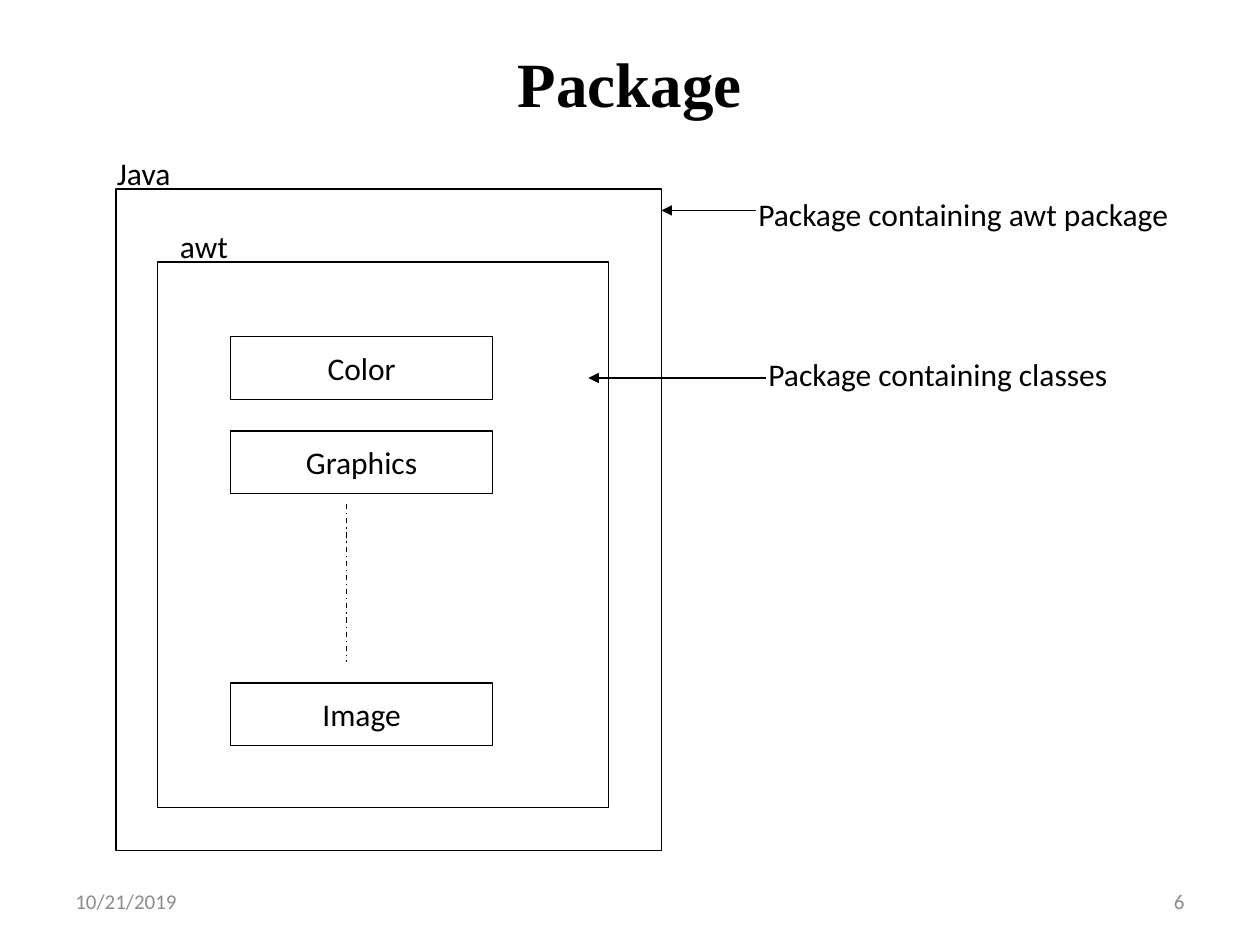
from dataclasses import dataclass

from lxml import etree
from pptx import Presentation
from pptx.dml.color import RGBColor
from pptx.enum.dml import MSO_LINE
from pptx.enum.shapes import MSO_CONNECTOR, MSO_SHAPE
from pptx.enum.text import MSO_ANCHOR, MSO_AUTO_SIZE, PP_ALIGN
from pptx.oxml.ns import qn
from pptx.util import Inches, Pt

RECT = MSO_SHAPE.RECTANGLE
STRAIGHT = MSO_CONNECTOR.STRAIGHT
DASH = MSO_LINE.DASH_DOT
LEFT, MID, RIGHT = PP_ALIGN.LEFT, PP_ALIGN.CENTER, PP_ALIGN.RIGHT
TOP, MIDDLE = MSO_ANCHOR.TOP, MSO_ANCHOR.MIDDLE
GROW, FIXED = MSO_AUTO_SIZE.SHAPE_TO_FIT_TEXT, MSO_AUTO_SIZE.NONE


@dataclass(frozen=True)
class Theme:
    ink: RGBColor = RGBColor(0, 0, 0)
    paper: RGBColor = RGBColor(255, 255, 255)
    gray: RGBColor = RGBColor(0x8C, 0x8C, 0x8C)
    head: str = "Times New Roman"
    body: str = "Calibri"
    title: int = 36
    text: int = 18
    foot: int = 12
    line: float = 0.75


@dataclass(frozen=True)
class Box:
    x: float
    y: float
    w: float
    h: float
    text: str = ""


@dataclass(frozen=True)
class Line:
    x1: float
    y1: float
    x2: float
    y2: float
    arrow: bool = True


THEME = Theme()
deck = Presentation()
deck.slide_width, deck.slide_height = Inches(10), Inches(7.5)
slide = deck.slides.add_slide(deck.slide_layouts[6])


def write(shape, text: str, size: int, color: RGBColor, align: PP_ALIGN,
          font: str = THEME.body, bold: bool = False) -> None:
    shape.text_frame.text = text
    para = shape.text_frame.paragraphs[0]
    para.alignment = align
    for run in para.runs:
        run.font.name, run.font.size = font, Pt(size)
        run.font.bold, run.font.color.rgb = bold, color


def add_text(box: Box, size: int = THEME.text, color: RGBColor = THEME.ink,
             align: PP_ALIGN = LEFT, font: str = THEME.body,
             bold: bool = False, anchor: MSO_ANCHOR = MIDDLE,
             fit: MSO_AUTO_SIZE = FIXED) -> None:
    shape = slide.shapes.add_textbox(
        Inches(box.x), Inches(box.y), Inches(box.w), Inches(box.h))
    frame = shape.text_frame
    frame.word_wrap, frame.auto_size = True, fit
    frame.vertical_anchor = anchor
    write(shape, box.text, size, color, align, font, bold)


def add_box(box: Box) -> None:
    shape = slide.shapes.add_shape(
        RECT, Inches(box.x), Inches(box.y), Inches(box.w), Inches(box.h))
    shape.shadow.inherit = False
    shape.fill.solid()
    shape.fill.fore_color.rgb = THEME.paper
    shape.line.color.rgb = THEME.ink
    shape.line.width = Pt(THEME.line)
    if box.text:
        shape.text_frame.word_wrap = False
        shape.text_frame.vertical_anchor = MIDDLE
        write(shape, box.text, THEME.text, THEME.ink, MID)


def add_line(line: Line) -> None:
    shape = slide.shapes.add_connector(
        STRAIGHT, Inches(line.x1), Inches(line.y1),
        Inches(line.x2), Inches(line.y2))
    shape.line.color.rgb = THEME.ink
    shape.line.width = Pt(THEME.line)
    if line.arrow:
        etree.SubElement(shape.line._get_or_add_ln(), qn("a:tailEnd"),
                         type="triangle")
    else:
        shape.line.dash_style = DASH
    etree.SubElement(shape._element.spPr, qn("a:effectLst"))


# Footer and title
add_text(Box(0.5, 6.95, 2.33, 0.4, "10/21/2019"), THEME.foot, THEME.gray)
add_text(Box(7.17, 6.95, 2.33, 0.4, "6"), THEME.foot, THEME.gray, RIGHT)
add_text(Box(0.5, 0.3, 9, 0.7, "Package"), THEME.title, align=MID,
         font=THEME.head, bold=True)

# Nested packages and their classes
add_box(Box(0.92, 1.5, 4.33, 5.25))
add_box(Box(1.25, 2.08, 3.58, 4.33))
for name, y in (("Color", 2.67), ("Graphics", 3.42), ("Image", 5.42)):
    add_box(Box(1.83, y, 2.08, 0.5, name))

# Labels
for label in (
    Box(0.83, 1.17, 2, 0.4, "Java"),
    Box(1.33, 1.75, 2.25, 0.4, "awt"),
    Box(5.92, 1.5, 3.5, 0.4, "Package containing awt package"),
    Box(6, 2.77, 3.5, 0.4, "Package containing classes"),
):
    add_text(label, anchor=TOP, fit=GROW)

# Gap between classes, then the arrows
for line in (
    Line(2.75, 4, 2.75, 5.25, arrow=False),
    Line(6, 1.67, 5.25, 1.67),
    Line(6.08, 3, 4.67, 3),
):
    add_line(line)

deck.save("out.pptx")
